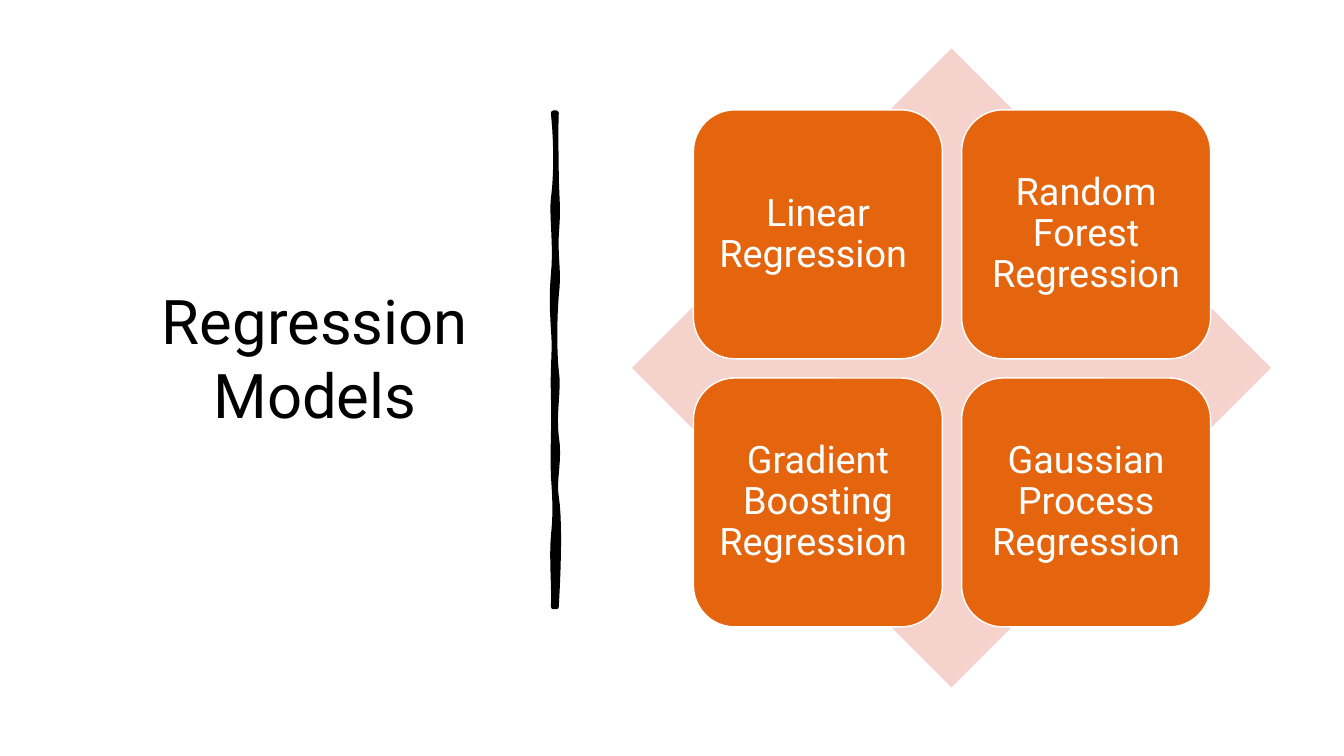
import pptx
import pptx.util
import pptx.dml.color
import pptx.enum.shapes
import pptx.enum.text
from dataclasses import dataclass

COLS, ROWS = 160, 90
SHAPES = pptx.enum.shapes.MSO_SHAPE
ANCHOR = pptx.enum.text.MSO_ANCHOR


@dataclass(frozen=True)
class Theme:
    font: str = "Roboto"
    ink: str = "000000"
    paper: str = "FFFFFF"
    tile: str = "E4650E"
    back: str = "F5D3CC"
    head: int = 44
    body: int = 27
    edge: float = 1
    brush: float = 3.5


class Deck:
    def __init__(self, theme):
        self.theme = theme
        self.show = pptx.Presentation()
        self.show.slide_height = pptx.util.Inches(7.5)
        self.cell = self.show.slide_height / ROWS
        self.show.slide_width = round(self.cell * COLS)
        self.slide = self.show.slides.add_slide(self.show.slide_layouts[6])

    def span(self, *cells):
        return [round(n * self.cell) for n in cells]

    def tint(self, code):
        return pptx.dml.color.RGBColor.from_string(code)

    def paint(self, shape, fill, line=None, width=0):
        shape.shadow.inherit = False
        shape.fill.solid()
        shape.fill.fore_color.rgb = self.tint(fill)
        if line:
            shape.line.color.rgb = self.tint(line)
            shape.line.width = pptx.util.Pt(width)
        else:
            shape.line.fill.background()

    def label(self, shape, text, size, color, anchor, space=None):
        frame = shape.text_frame
        frame.text = text
        frame.word_wrap = True
        frame.vertical_anchor = anchor
        para = frame.paragraphs[0]
        para.alignment = pptx.enum.text.PP_ALIGN.CENTER
        para.line_spacing = space
        font = para.runs[0].font
        font.name = self.theme.font
        font.size = pptx.util.Pt(size)
        font.color.rgb = self.tint(color)

    def title(self, text, left, top, width, height):
        box = self.slide.shapes.add_textbox(*self.span(left, top, width, height))
        self.label(box, text, self.theme.head, self.theme.ink, ANCHOR.BOTTOM)

    def diamond(self, left, top, side):
        shape = self.slide.shapes.add_shape(
            SHAPES.DIAMOND, *self.span(left, top, side, side))
        self.paint(shape, self.theme.back)

    def tile(self, text, left, top, side):
        look = self.theme
        shape = self.slide.shapes.add_shape(
            SHAPES.ROUNDED_RECTANGLE, *self.span(left, top, side, side))
        self.paint(shape, look.tile, look.paper, look.edge)
        self.label(shape, text, look.body, look.paper, ANCHOR.MIDDLE, 0.9)
        frame = shape.text_frame
        inset = self.span(1.32)[0]
        frame.margin_left = frame.margin_right = inset
        frame.margin_top = frame.margin_bottom = inset

    def brush(self, left, unit, start, curves, steps=8):
        dots = [start]
        for curve in curves:
            a, b, c, d = dots[-1], curve[:2], curve[2:4], curve[4:]
            for i in range(1, steps + 1):
                t = i / steps
                u = 1 - t
                dots.append([
                    u**3 * a[k] + 3 * u * u * t * b[k]
                    + 3 * u * t * t * c[k] + t**3 * d[k] for k in (0, 1)])
        spots = [self.span(left + unit * x, unit * y) for x, y in dots]
        pen = self.slide.shapes.build_freeform(*spots[0], scale=1.0)
        pen.add_line_segments(spots[1:], close=True)
        self.paint(pen.convert_to_shape(), self.theme.ink,
                   self.theme.ink, self.theme.brush)

    def save(self):
        self.show.save("out.pptx")


STROKE = [
    (1, 142, 2, 149, 2, 177), (3, 206, 4, 207, 2, 233),
    (1, 259, 5, 269, 2, 293), (0, 317, 0, 350, 2, 368),
    (5, 386, -1, 410, 2, 433), (6, 456, -1, 476, 2, 493),
    (5, 511, 5, 551, 2, 602), (2, 602, 0, 602, -1, 602),
    (0, 584, -3, 553, -1, 532), (1, 512, 1, 500, -1, 472),
    (-2, 444, 0, 422, -1, 392), (-2, 363, 1, 347, -1, 327),
    (-2, 307, -3, 297, -1, 272), (2, 247, -3, 212, -1, 197),
    (1, 182, 3, 152, -1, 112),
]
MODELS = [
    "Linear Regression ", "Random Forest Regression",
    "Gradient Boosting Regression ", "Gaussian Process Regression",
]


def main():
    deck = Deck(Theme())
    deck.brush(66, 0.12, (2, 112), STROKE)
    deck.title("Regression Models", 7.56, 12.48, 59.88, 39.36)
    deck.diamond(75.24, 5.76, 76.08)
    side, step = 29.64, 31.92
    for i, model in enumerate(MODELS):
        row, col = divmod(i, 2)
        deck.tile(model, 82.56 + col * step, 13.08 + row * step, side)
    deck.save()


if __name__ == "__main__":
    main()
